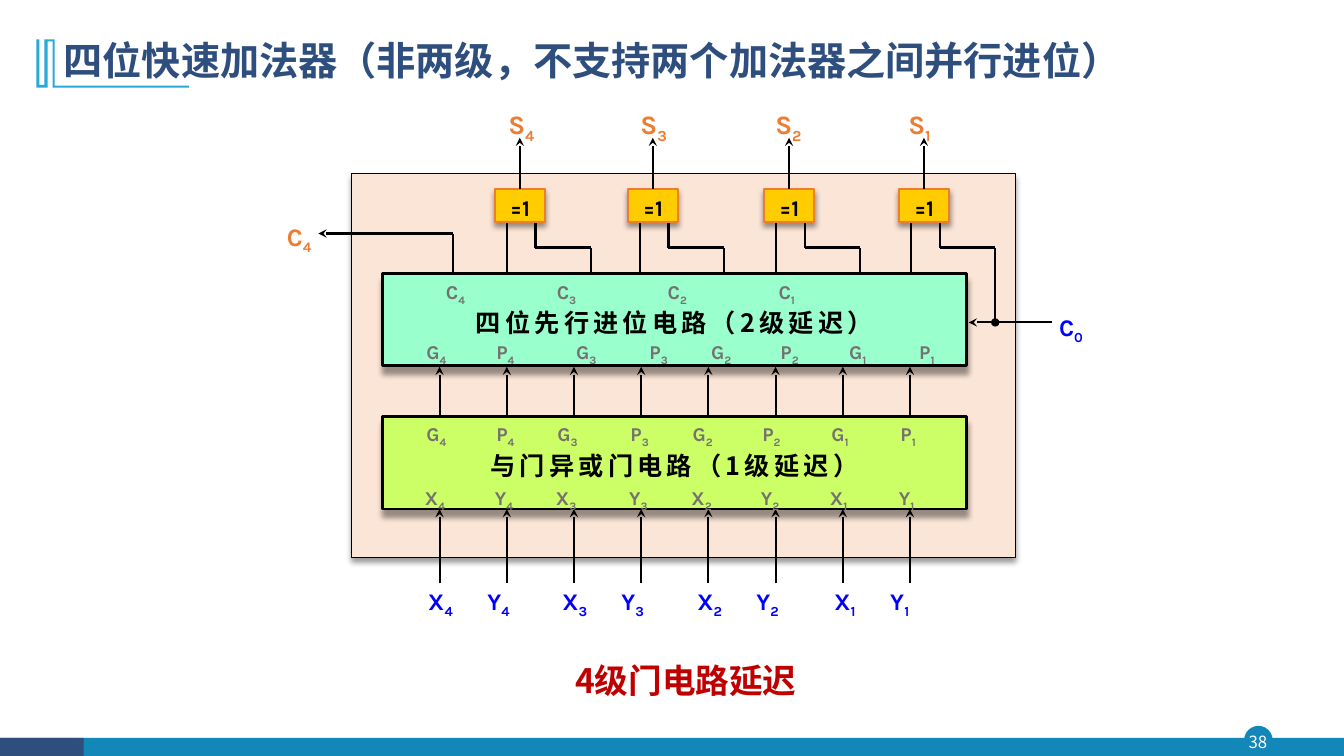
from lxml.etree import SubElement
from pptx import Presentation
from pptx.dml.color import RGBColor
from pptx.enum.shapes import MSO_CONNECTOR as Connector, MSO_SHAPE as Shape
from pptx.enum.text import MSO_ANCHOR as Anchor, PP_ALIGN as Align
from pptx.oxml import parse_xml
from pptx.oxml.ns import nsdecls, qn
from pptx.util import Pt

HAN, LATIN = "Noto Sans CJK SC", "Karla"
BLACK, WHITE, GREY, RED = "000000", "FFFFFF", "767171", "C00000"
BLUE, ORANGE, NAVY, TEAL, CYAN = "0000FF", "ED7D31", "2E4E7E", "1387B7", "28A9D6"
PEACH, MINT, LIME, GOLD = "FBE5D6", "99FFCC", "CCFF66", "FFCC00"
DIGITS = "4321"


def color(value):
    return RGBColor.from_string(value)


def box_points(box):
    return [Pt(value) for value in box]


def add_run(paragraph, text, font_name, size, ink, bold=True, spacing=0, baseline=0):
    run = paragraph.add_run()
    run.text = text
    for name, value in {"name": font_name, "size": Pt(size), "bold": bold}.items():
        setattr(run.font, name, value)
    run.font.color.rgb = color(ink)
    properties = run.font._element
    SubElement(properties, qn("a:ea")).set("typeface", font_name)
    for name, value in {"spc": spacing * 100, "baseline": baseline * 1000}.items():
        if value:
            properties.set(name, str(value))


def format_frame(frame, wrap=True, anchor=Anchor.TOP, inset=0):
    formats = {"word_wrap": wrap, "vertical_anchor": anchor}
    formats.update({f"margin_{side}": Pt(inset) for side in ("left", "top", "right", "bottom")})
    for name, value in formats.items():
        setattr(frame, name, value)
    return frame.paragraphs[0]


def add_text(slide, box, text, align=Align.CENTER, anchor=Anchor.MIDDLE, **run_format):
    frame = slide.shapes.add_textbox(*box_points(box)).text_frame
    paragraph = format_frame(frame, anchor=anchor)
    paragraph.alignment = align
    add_run(paragraph, text, **run_format)
    return paragraph


def add_label(slide, left, middle, letter, digit, size, ink):
    """Write a letter with a subscript digit; middle is the height of the letter's centre."""
    box = (left - 0.5, middle - 0.6 * size, 2.2 * size, 1.4 * size)
    paragraph = add_text(slide, box, letter, Align.LEFT, Anchor.TOP,
                         font_name=LATIN, size=size, ink=ink)
    add_run(paragraph, digit, LATIN, size, ink, baseline=-25)


def add_box(slide, kind, box, fill, line=None, width=1, shadow=0):
    """Add a filled shape; shadow is the distance of its drop shadow."""
    shape = slide.shapes.add_shape(kind, *box_points(box))
    shape.shadow.inherit = False
    shape.fill.solid()
    shape.fill.fore_color.rgb = color(fill)
    if line:
        shape.line.color.rgb = color(line)
        shape.line.width = Pt(width)
    else:
        shape.line.fill.background()
    if shadow:
        effects = shape._element.spPr.find(qn("a:effectLst"))
        effects.append(parse_xml(
            f'<a:outerShdw {nsdecls("a")} blurRad="{Pt(4)}" dist="{Pt(shadow)}" dir="5400000" '
            'algn="t" rotWithShape="0"><a:srgbClr val="000000"><a:alpha val="40000"/>'
            '</a:srgbClr></a:outerShdw>'))
    return shape


def add_wire(slide, points, end=None):
    """Join the points with straight lines; end names the arrowhead at the last one."""
    for start, stop in zip(points, points[1:]):
        wire = slide.shapes.add_connector(Connector.STRAIGHT, *box_points(start + stop))
        wire.line.color.rgb = color(BLACK)
        wire.line.width = Pt(1.5)
        if end and stop == points[-1]:
            SubElement(wire.line._get_or_add_ln(), qn("a:tailEnd")).set("type", end)
        SubElement(wire._element.spPr, qn("a:effectLst"))


def draw_title(slide, box, text):
    left, top, _, _ = box
    corner = [(13, 0), (13, 33), (109, 33), (109, 34.4), (11.6, 34.4), (11.6, 1.4), (8, 1.4),
              (8, 34.4), (0, 34.4), (0, 0), (2.2, 0), (2.2, 32.4), (5.8, 32.4), (5.8, 0)]
    corner = [(Pt(left - 12.2 + x), Pt(top + 8 + y)) for x, y in corner]
    builder = slide.shapes.build_freeform(*corner[0])
    builder.add_line_segments(corner[1:], close=True)
    mark = builder.convert_to_shape()
    mark.shadow.inherit = False
    mark.fill.solid()
    mark.fill.fore_color.rgb = color(CYAN)
    mark.line.fill.background()

    title = slide.shapes.title
    title.left, title.top, title.width, title.height = box_points(box)
    paragraph = format_frame(title.text_frame, anchor=Anchor.MIDDLE, inset=7.2)
    paragraph.alignment, paragraph.line_spacing = Align.LEFT, 0.9
    add_run(paragraph, text, HAN, 28, NAVY)


def draw_footer(slide, box, number):
    left, top, width, height = box
    add_box(slide, Shape.OVAL, (left + 889.2, top - 8, 19.4, 19.4), TEAL, TEAL)
    add_box(slide, Shape.RECTANGLE, box, TEAL)
    add_box(slide, Shape.RECTANGLE, (left, top, 59.8, height), NAVY)
    add_text(slide, (left + 887, top - 8, 23, 22.3), number,
             font_name=HAN, size=12, ink=WHITE, bold=False)


def draw_block(slide, box, fill, caption, rows):
    """Draw a circuit block; rows hold letters, height and left offsets of its pin labels."""
    left, top, _, _ = box
    shape = add_box(slide, Shape.RECTANGLE, box, fill, BLACK, 2, shadow=5)
    paragraph = format_frame(shape.text_frame, False, Anchor.MIDDLE, 3.6)
    paragraph.alignment, paragraph.line_spacing = Align.CENTER, 1.2
    add_run(paragraph, caption, HAN, 18, BLACK, spacing=3)
    for letters, height, offsets in rows:
        draw_pins(slide, (left, top + height), letters, offsets, 14, GREY)


def draw_pins(slide, origin, letters, offsets, size, ink):
    left, middle = origin
    names = [(letter, digit) for digit in DIGITS for letter in letters]
    for (letter, digit), offset in zip(names, offsets):
        add_label(slide, left + offset, middle, letter, digit, size, ink)


def draw_gate(slide, box, digit, label_left, block_top, carry_end, end=None):
    """Draw an exclusive-or gate with its output, its direct input and its carry input."""
    left, top, width, height = box
    bottom, bend = top + height, top + 42
    add_wire(slide, [(left + 29, bottom), (left + 29, bend), (left + 68.7, bend),
                     (left + 68.7, carry_end)], end)
    add_wire(slide, [(left + 8.7, bottom), (left + 8.7, block_top)])
    gate = add_box(slide, Shape.RECTANGLE, box, GOLD, ORANGE, 1.5, shadow=3)
    paragraph = format_frame(gate.text_frame, False, Anchor.MIDDLE)
    paragraph.alignment, paragraph.line_spacing = Align.CENTER, 1.2
    add_run(paragraph, "=1", LATIN, 16, BLACK)
    add_wire(slide, [(left + 17.8, top), (left + 17.8, top - 36.4)], "stealth")
    add_label(slide, label_left, top - 46.4, "S", digit, 19, ORANGE)


def draw_adder(slide, box):
    left, top, width, height = box
    add_box(slide, Shape.RECTANGLE, box, PEACH, BLACK, 0.75, shadow=3)
    block_left, carry_top, logic_top = left + 22, top + 71.3, top + 173.6
    block_size = (416.9, 66.2)

    for column in range(8):
        x = left + 62.7 + 48 * column
        for start, stop in ((293, 239.8), (174.2, 138.2)):
            add_wire(slide, [(x, top + start), (x, top + stop)], "stealth")

    logic_pins = (31.7, 81.7, 125.3, 177.5, 222, 271.7, 321, 370.3)
    draw_block(slide, (block_left, logic_top, *block_size), LIME, "与门异或门电路（1级延迟）",
               [("GP", 12.6, logic_pins), ("XY", 57.8, [pin - 1 for pin in logic_pins])])
    draw_block(slide, (block_left, carry_top, *block_size), MINT, "四位先行进位电路（2级延迟）",
               [("C", 13, [45.7 + 79.2 * index for index in range(4)]),
                ("GP", 56.2, (31.7, 81.7, 138.7, 191, 235.2, 284.7, 333.7, 383.7))])

    carry_in = top + 106.5
    gates = zip(DIGITS, (102.2, 197.2, 294.5, 390.9), (112.3, 206.6, 303, 398))
    for digit, gate_left, label_left in gates:
        first = digit == "1"
        draw_gate(slide, (left + gate_left, top + 11, 36, 23.8), digit, left + label_left,
                  carry_top, carry_in if first else carry_top, "oval" if first else None)

    add_wire(slide, [(left + 500, carry_in), (left + 440.7, carry_in)], "stealth")
    add_label(slide, left + 505.7, top + 110, "C", "0", 17, BLUE)
    add_wire(slide, [(left + 72, carry_top), (left + 72, top + 43),
                     (left - 23.8, top + 43)], "stealth")
    add_label(slide, left - 45.8, top + 45, "C", "4", 18, ORANGE)
    draw_pins(slide, (left, top + 305.6), "XY",
              (55.1, 97.3, 150.8, 193, 247.3, 289.4, 345.1, 385.1), 17, BLUE)


def main():
    presentation = Presentation()
    presentation.slide_width, presentation.slide_height = Pt(960), Pt(540)
    slide = presentation.slides.add_slide(presentation.slide_layouts[5])
    draw_footer(slide, (0, 527, 960, 13), "38")
    draw_title(slide, (38.2, 20.2, 828, 49), "四位快速加法器（非两级，不支持两个加法器之间并行进位）")
    draw_adder(slide, (251.3, 123.8, 473.8, 274.3))
    add_text(slide, (362, 466, 255.6, 39), "4级门电路延迟", font_name=HAN, size=24, ink=RED)
    presentation.save("out.pptx")


if __name__ == "__main__":
    main()
